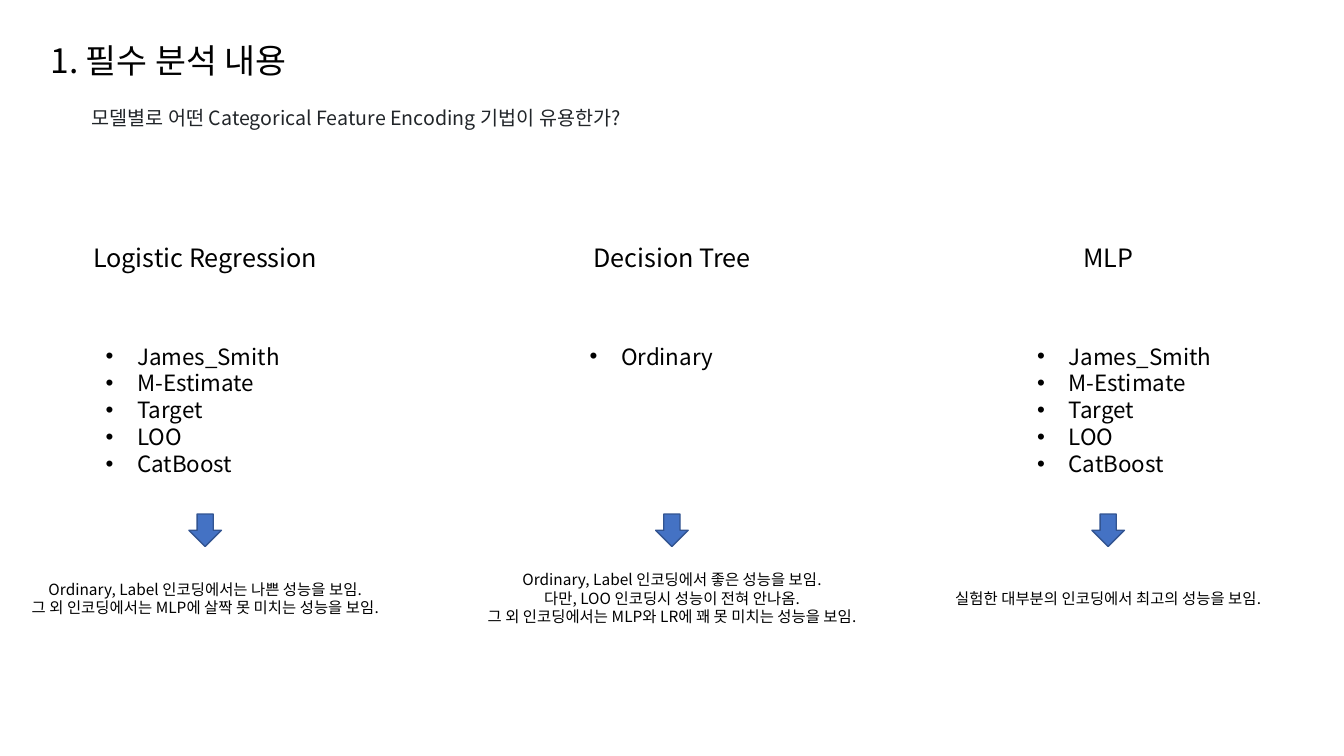
from lxml.etree import SubElement
from pptx import Presentation
from pptx.dml.color import RGBColor
from pptx.enum.shapes import MSO_SHAPE
from pptx.enum.text import MSO_ANCHOR, PP_ALIGN
from pptx.oxml.ns import qn
from pptx.util import Pt

FONT = "Noto Sans CJK KR"
LINE = 1.2  # line pitch as a multiple of the font size
INSET = 3.6  # top and bottom text inset
CAPTION_MID = 427.4

ENCODERS = ["James_Smith", "M-Estimate", "Target", "LOO", "CatBoost"]

# model, centre x, list left, list width, encoders, findings
MODELS = [
    ("Logistic Regression", 146.6, 68.4, 221.8, ENCODERS,
     ["Ordinary, Label 인코딩에서는 나쁜 성능을 보임.",
      "그 외 인코딩에서는 MLP에 살짝 못 미치는 성능을 보임."]),
    ("Decision Tree", 480, 414, 174.2, ["Ordinary"],
     ["Ordinary, Label 인코딩에서 좋은 성능을 보임.",
      "다만, LOO 인코딩시 성능이 전혀 안나옴.",
      "그 외 인코딩에서는 MLP와 LR에 꽤 못 미치는 성능을 보임."]),
    ("MLP", 791.6, 733.7, 236.2, ENCODERS,
     ["실험한 대부분의 인코딩에서 최고의 성능을 보임."]),
]


def color(hex_text):
    return RGBColor.from_string(hex_text)


def place(sp, x, y, w, h):
    sp.left, sp.top, sp.width, sp.height = Pt(x), Pt(y), Pt(w), Pt(h)


def add_bullet(p, indent=22.5):
    pPr = p._p.get_or_add_pPr()
    pPr.set("marL", str(Pt(indent)))
    pPr.set("indent", str(-Pt(indent)))
    SubElement(pPr, qn("a:buFont")).set("typeface", "Arial")
    SubElement(pPr, qn("a:buChar")).set("char", "•")


def write(tf, lines, size, fill="000000", align=PP_ALIGN.LEFT, bullets=False):
    tf.word_wrap = True
    tf.vertical_anchor = MSO_ANCHOR.TOP
    tf.margin_top = tf.margin_bottom = Pt(INSET)
    for i, line in enumerate(lines):
        p = tf.add_paragraph() if i else tf.paragraphs[0]
        p.alignment = align
        p.line_spacing = Pt(size * LINE)
        p.space_before = Pt(0)
        if bullets:
            add_bullet(p)
        r = p.add_run()
        r.text = line
        r.font.name, r.font.size = FONT, Pt(size)
        r.font.color.rgb = color(fill)
        SubElement(r._r.get_or_add_rPr(), qn("a:ea")).set("typeface", FONT)


def text_height(lines, size):
    return len(lines) * size * LINE + 2 * INSET


def add_text(s, x, y, w, lines, size, **fmt):
    sp = s.shapes.add_textbox(Pt(x), Pt(y), Pt(w), Pt(text_height(lines, size)))
    write(sp.text_frame, lines, size, **fmt)


def add_centred(s, mid_x, y, w, lines, size):
    add_text(s, mid_x - w / 2, y, w, lines, size, align=PP_ALIGN.CENTER)


def add_down_arrow(s, mid_x, y, side=23.2):
    sp = s.shapes.add_shape(MSO_SHAPE.DOWN_ARROW, Pt(mid_x - side / 2), Pt(y),
                            Pt(side), Pt(side))
    sp.shadow.inherit = False
    sp.fill.solid()
    sp.fill.fore_color.rgb = color("4472C4")
    sp.line.color.rgb = color("325491")
    sp.line.width = Pt(1)


def add_model(s, name, mid_x, list_x, list_w, encoders, findings):
    add_centred(s, mid_x, 169.2, 267, [name], 18)
    add_text(s, list_x, 241.2, list_w, encoders, 16, bullets=True)
    add_down_arrow(s, mid_x, 367.2)
    caption_y = CAPTION_MID - text_height(findings, 11) / 2
    add_centred(s, mid_x, caption_y, 318.2, findings, 11)


def main():
    prs = Presentation()
    prs.slide_width, prs.slide_height = Pt(960), Pt(540)
    s = prs.slides.add_slide(prs.slide_layouts[5])

    # Title and question
    title = s.shapes.title
    place(title, 28.8, 25.2, 206, 36)
    write(title.text_frame, ["1. 필수 분석 내용"], 24)
    add_text(s, 58.3, 72, 683.3,
             ["모델별로 어떤 Categorical Feature Encoding 기법이 유용한가?"],
             14, fill="212529")

    # One column per model
    for model in MODELS:
        add_model(s, *model)

    prs.save("out.pptx")


main()
